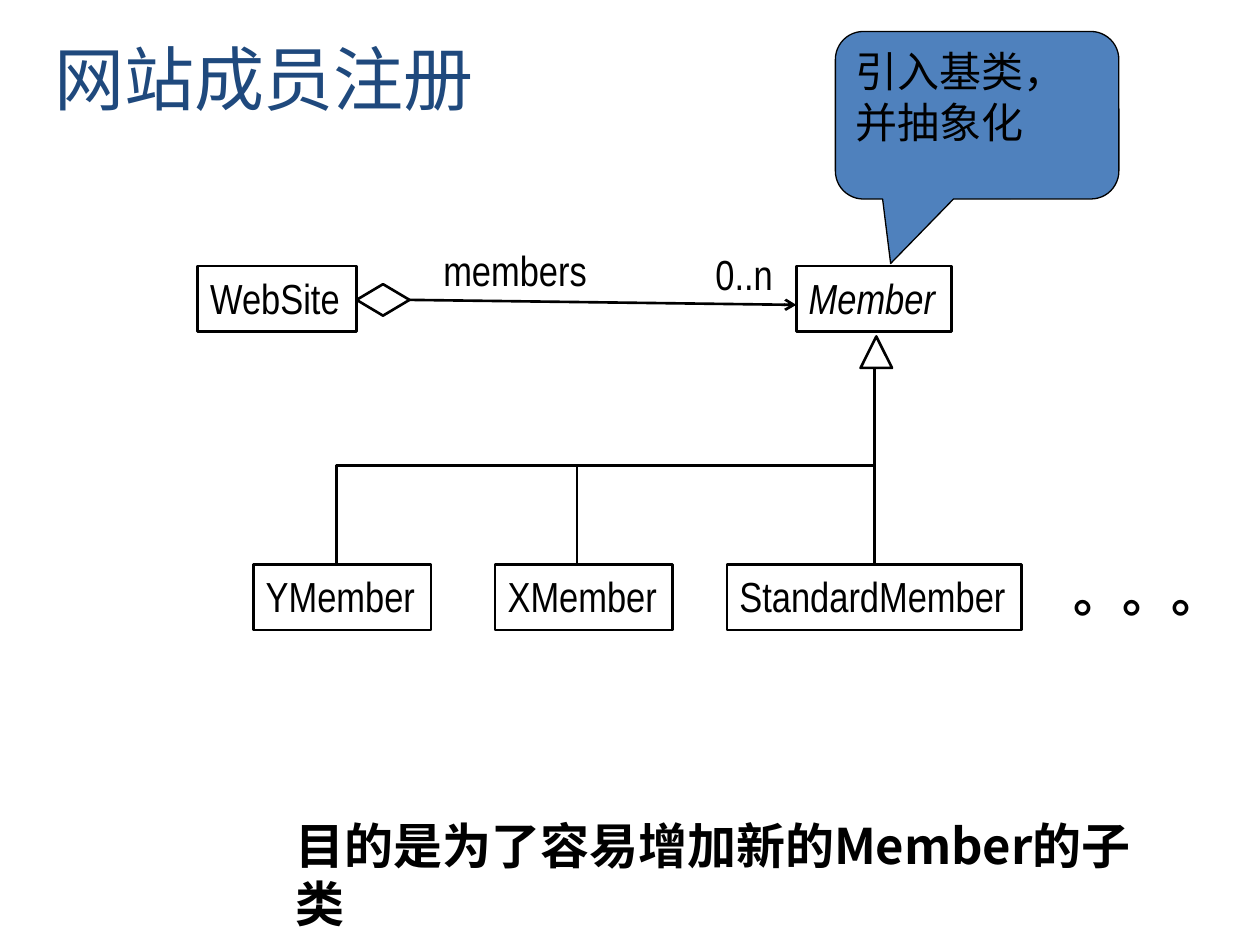
from dataclasses import dataclass

from lxml import etree
from pptx import Presentation
from pptx import util as u
from pptx.dml.color import RGBColor
from pptx.enum import shapes, text
from pptx.oxml import ns

Shape = shapes.MSO_SHAPE
Line = shapes.MSO_CONNECTOR


@dataclass(frozen=True)
class Theme:
    title: str = "1F497D"
    ink: str = "000000"
    paper: str = "FFFFFF"
    accent: str = "4F81BD"
    body_font: str = "Arial"
    label_font: str = "Arial Narrow"
    note_font: str = "Noto Sans CJK SC"
    title_size: int = 40
    label_size: int = 24
    note_size: int = 28
    line: float = 1.5
    thin_line: float = 0.75


THEME = Theme()


def inches(*lengths):
    return [u.Inches(length) for length in lengths]


def write(shape, words, size, font, color=THEME.ink, bold=False, italic=False,
          anchor=text.MSO_ANCHOR.TOP, wrap=True, grow=False):
    frame = shape.text_frame
    frame.text = words
    frame.word_wrap = wrap
    frame.vertical_anchor = anchor
    frame.auto_size = (text.MSO_AUTO_SIZE.SHAPE_TO_FIT_TEXT if grow
                       else text.MSO_AUTO_SIZE.NONE)
    para = frame.paragraphs[0]
    para.alignment = text.PP_ALIGN.LEFT
    span = para.runs[0]
    span.font.size = u.Pt(size)
    span.font.bold = bold
    span.font.italic = italic
    span.font.color.rgb = RGBColor.from_string(color)
    span.font.name = font
    east_asian = etree.SubElement(span.font._element, ns.qn("a:ea"))
    east_asian.set("typeface", font)


def outline(page, kind, box, fill=None, width=THEME.line):
    shape = page.shapes.add_shape(kind, *inches(*box))
    shape.shadow.inherit = False
    if fill:
        shape.fill.solid()
        shape.fill.fore_color.rgb = RGBColor.from_string(fill)
    else:
        shape.fill.background()
    shape.line.color.rgb = RGBColor.from_string(THEME.ink)
    shape.line.width = u.Pt(width)
    return shape


def connect(page, kind, start, end):
    connector = page.shapes.add_connector(kind, *inches(*start, *end))
    connector.line.color.rgb = RGBColor.from_string(THEME.ink)
    connector.line.width = u.Pt(THEME.line)
    etree.SubElement(connector._element.spPr, ns.qn("a:effectLst"))
    return connector


def rising_elbow(page, start, end):
    """Join two points with an elbow that leaves and arrives vertically."""
    (x1, y1), (x2, y2) = start, end
    middle_x, middle_y = (x1 + x2) / 2, (y1 + y2) / 2
    half_rise, half_run = (y1 - y2) / 2, (x2 - x1) / 2
    elbow = connect(page, Line.ELBOW,
                    (middle_x - half_rise, middle_y - half_run),
                    (middle_x + half_rise, middle_y + half_run))
    elbow._element.spPr.find(ns.qn("a:xfrm")).set("rot", str(270 * 60000))


def class_box(page, name, box, fill=None, italic=False):
    shape = outline(page, Shape.RECTANGLE, box, fill)
    write(shape, name, THEME.label_size, THEME.label_font, italic=italic,
          wrap=False, grow=True)


def label(page, words, box):
    shape = page.shapes.add_textbox(*inches(*box))
    write(shape, words, THEME.label_size, THEME.label_font, wrap=False, grow=True)


def note(page, words, box):
    shape = page.shapes.add_textbox(*inches(*box))
    write(shape, words, THEME.note_size, THEME.note_font, bold=True, grow=True)


def heading(page, words, box):
    title = page.shapes.title
    title.left, title.top, title.width, title.height = inches(*box)
    write(title, words, THEME.title_size, THEME.body_font, THEME.title,
          anchor=text.MSO_ANCHOR.BOTTOM)


def aggregation(page, box):
    """Draw WebSite holding many Members across the width of the box."""
    left, top, width, height = box
    whole_width, part_width, diamond_width, diamond_height = 1.26, 1.23, 0.42, 0.25
    part_left = left + width - part_width
    class_box(page, "WebSite", (left, top, whole_width, height))
    class_box(page, "Member", (part_left, top, part_width, height), italic=True)
    diamond_left, middle = left + whole_width, top + height / 2
    outline(page, Shape.FLOWCHART_DECISION,
            (diamond_left, middle - diamond_height / 2 + 0.01,
             diamond_width, diamond_height))
    arrow = connect(page, Line.STRAIGHT,
                    (diamond_left + diamond_width, middle + 0.01),
                    (part_left, middle + 0.05))
    tail = etree.SubElement(arrow.line._get_or_add_ln(), ns.qn("a:tailEnd"))
    tail.set("type", "arrow")
    label(page, "members", (left + 1.85, top - 0.22, 1.34, 0.5))
    label(page, "0..n", (part_left - 0.74, top - 0.19, 0.66, 0.5))


def inheritance(page, box):
    """Draw the subclasses at the foot of the box, joined to its arrowhead."""
    left, top, width, height = box
    head, class_height = 0.25, 0.52
    class_top = top + height - class_height
    joint = (left + 4.93, top + head - 0.01)
    outline(page, Shape.FLOWCHART_EXTRACT, (left + 4.82, top, head, head))
    subclasses = [  # name, offset, width, offset of its line, fill
        ("StandardMember", width - 2.34, 2.34, 4.93, None),
        ("XMember", 1.92, 1.41, 2.57, THEME.paper),
        ("YMember", 0, 1.41, 0.66, THEME.paper),
    ]
    for name, offset, class_width, stem, fill in subclasses:
        class_box(page, name, (left + offset, class_top, class_width, class_height), fill)
        rising_elbow(page, (left + stem, class_top), joint)


def callout(page, words, box):
    shape = outline(page, Shape.ROUNDED_RECTANGULAR_CALLOUT, box,
                    THEME.accent, THEME.thin_line)
    for index, value in enumerate((-0.305, 0.885, 0.167)):
        shape.adjustments[index] = value
    write(shape, words, THEME.label_size, THEME.body_font)


def main():
    deck = Presentation()
    deck.slide_width, deck.slide_height = inches(10, 7.5)
    page = deck.slides.add_slide(deck.slide_layouts[5])
    heading(page, "网站成员注册", (0.33, 0.25, 7.42, 0.75))
    aggregation(page, (1.57, 2.11, 5.98, 0.52))
    inheritance(page, (2.01, 2.67, 6.1, 2.33))
    callout(page, "引入基类，并抽象化", (6.63, 0.25, 2.25, 1.33))
    note(page, "目的是为了容易增加新的Member的子类", (2.25, 6.42, 6.91, 0.57))
    note(page, "。。。", (8.42, 4.42, 1.39, 0.57))
    deck.save("out.pptx")


if __name__ == "__main__":
    main()
